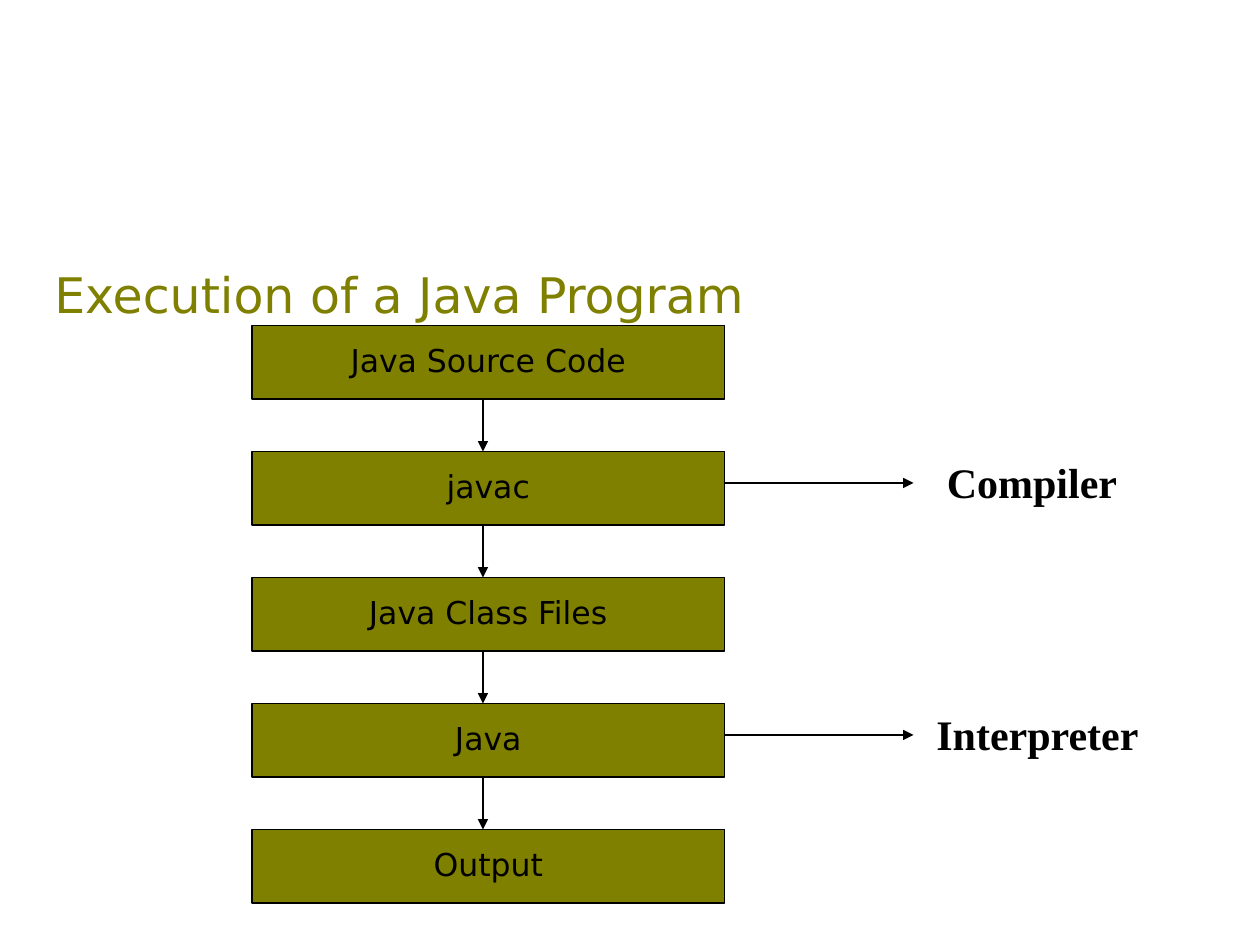
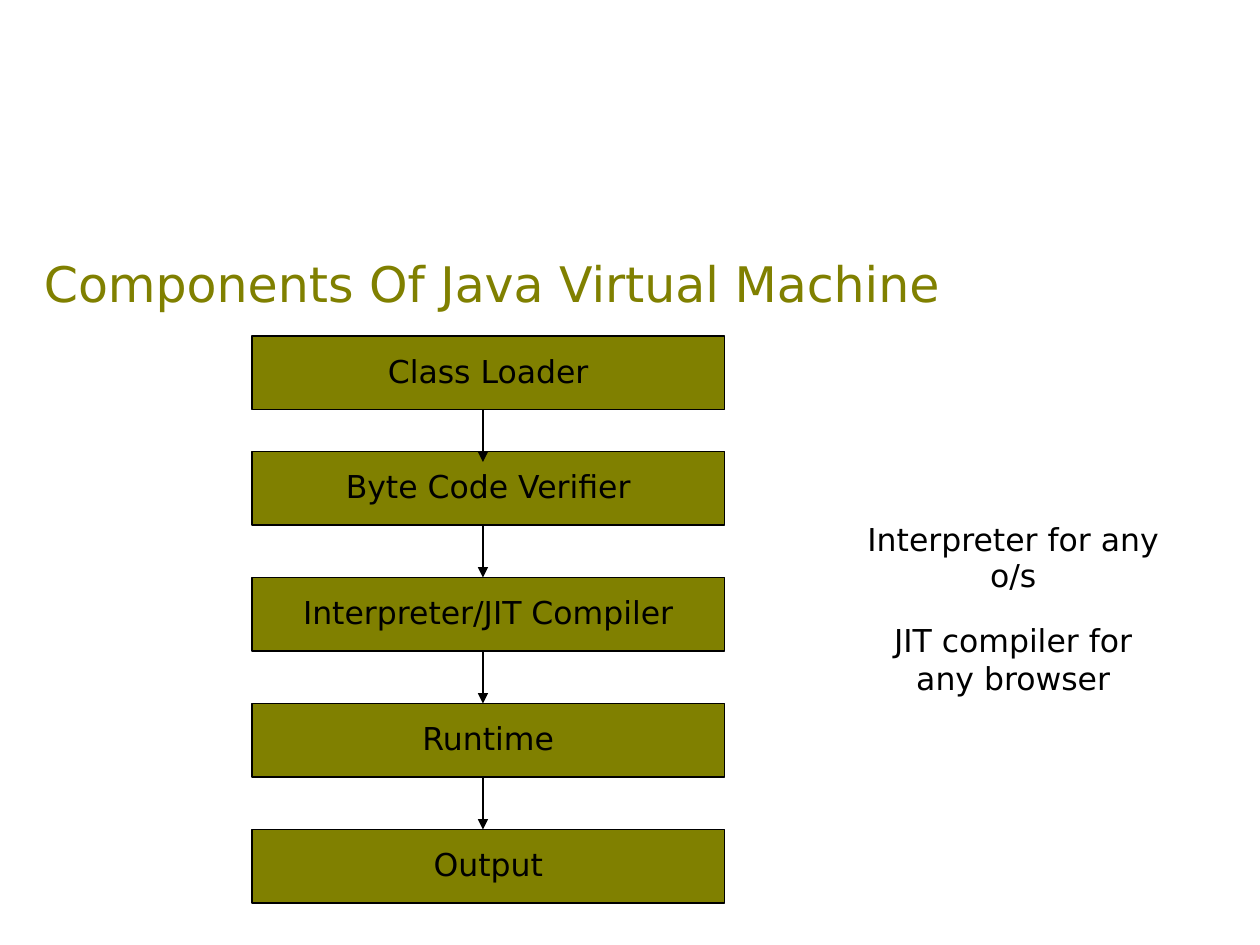
from dataclasses import dataclass

from lxml import etree
from pptx import Presentation
from pptx.dml.color import RGBColor
from pptx.enum.shapes import MSO_CONNECTOR, MSO_SHAPE
from pptx.enum.text import MSO_ANCHOR, PP_ALIGN
from pptx.oxml.ns import qn
from pptx.util import Inches, Pt

LEFT, CENTER = PP_ALIGN.LEFT, PP_ALIGN.CENTER
TOP, MIDDLE = MSO_ANCHOR.TOP, MSO_ANCHOR.MIDDLE
ROUNDED, STRAIGHT = MSO_SHAPE.ROUNDED_RECTANGLE, MSO_CONNECTOR.STRAIGHT

COLS, ROWS = 120, 90
STEP_ROWS, STEP_PITCH, ARROW_ROWS = 7, 12, 5
ARROW_INSET, BRANCH_COLS, BRANCH_DROP = 22, 18, 3


@dataclass(frozen=True)
class Theme:
    olive: RGBColor = RGBColor(0x80, 0x80, 0x00)
    ink: RGBColor = RGBColor(0, 0, 0)
    sans: str = "DejaVu Sans"
    serif: str = "Times New Roman"
    title: int = 28
    label: int = 24
    body: int = 18
    rule: float = 0.75
    leading: float = 0.95
    before: int = 15


T = Theme()
TITLE = {"name": T.sans, "size": Pt(T.title), "color": T.olive}
LABEL = {"name": T.serif, "size": Pt(T.label), "color": T.ink, "bold": True}
BODY = {"name": T.sans, "size": Pt(T.body), "color": T.ink}


def grid(prs, *cells):
    units = (prs.slide_width / COLS, prs.slide_height / ROWS)
    return [round(cell * units[i % 2]) for i, cell in enumerate(cells)]


def write(tf, lines, style, align, anchor=TOP, before=T.before):
    tf.word_wrap = True
    tf.vertical_anchor = anchor
    for i, line in enumerate(lines):
        p = tf.add_paragraph() if i else tf.paragraphs[0]
        p.alignment = align
        p.space_before = Pt(before)
        if i == 0:
            p.line_spacing = T.leading
        r = p.add_run()
        r.text = line
        for key, value in style.items():
            if key == "color":
                r.font.color.rgb = value
            else:
                setattr(r.font, key, value)


def add_text(prs, s, box, lines, style, align=LEFT):
    sp = s.shapes.add_textbox(*grid(prs, *box))
    write(sp.text_frame, lines, style, align)


def add_arrow(prs, s, col, row, across=0, down=0):
    line = s.shapes.add_connector(
        STRAIGHT, *grid(prs, col, row, col + across, row + down))
    line.line.color.rgb = T.ink
    line.line.width = Pt(T.rule)
    etree.SubElement(line.line._get_or_add_ln(), qn("a:tailEnd"), type="triangle")
    etree.SubElement(line._element.spPr, qn("a:effectLst"))


def add_step(prs, s, box, text):
    sp = s.shapes.add_shape(ROUNDED, *grid(prs, *box))
    sp.adjustments[0] = 0
    sp.shadow.inherit = False
    sp.fill.solid()
    sp.fill.fore_color.rgb = T.olive
    sp.line.color.rgb = T.ink
    sp.line.width = Pt(T.rule)
    write(sp.text_frame, [text], BODY, CENTER, MIDDLE, 0)


def add_flow(prs, s, box, steps, first_drop=0):
    left, top, width, _ = box
    tops = [top + i * STEP_PITCH for i in range(len(steps))]
    tops[0] += first_drop
    for row, text in zip(tops, steps):
        add_step(prs, s, (left, row, width, STEP_ROWS), text)
    for row in tops[:-1]:
        add_arrow(prs, s, left + ARROW_INSET, row + STEP_ROWS, down=ARROW_ROWS)


def add_branch(prs, s, box, step, text, gap):
    left, top, width, _ = box
    row = top + step * STEP_PITCH + BRANCH_DROP
    start = left + width
    add_arrow(prs, s, start, row, across=BRANCH_COLS)
    label = (start + BRANCH_COLS + gap, row - 2.8, 25, 5.76)
    add_text(prs, s, label, [text], LABEL)


def add_slide(prs, title, title_box, align=LEFT):
    s = prs.slides.add_slide(prs.slide_layouts[6])
    add_text(prs, s, title_box, [title], TITLE, align)
    return s


def execution_slide(prs, box):
    s = add_slide(prs, "Execution of a Java Program", (2, 25, 72, 6.6), CENTER)
    add_flow(prs, s, box, ["Java Source Code", "javac", "Java Class Files",
                           "Java", "Output"])
    add_branch(prs, s, box, 1, "Compiler", 2)
    add_branch(prs, s, box, 3, "Interpreter", 1)


def components_slide(prs, box):
    s = add_slide(prs, "Components Of Java Virtual Machine", (3, 24, 96, 6.6))
    add_flow(prs, s, box, ["Class Loader", "Byte Code Verifier",
                           "Interpreter/JIT Compiler", "Runtime", "Output"], 1)
    add_text(prs, s, (81, 49.2, 31, 17.76),
             ["Interpreter for any o/s", "JIT compiler for any browser"],
             BODY, CENTER)


def main():
    prs = Presentation()
    prs.slide_width, prs.slide_height = Inches(10), Inches(7.5)
    flow_box = (24, 31, 45, 55)
    execution_slide(prs, flow_box)
    components_slide(prs, flow_box)
    prs.save("out.pptx")


if __name__ == "__main__":
    main()
